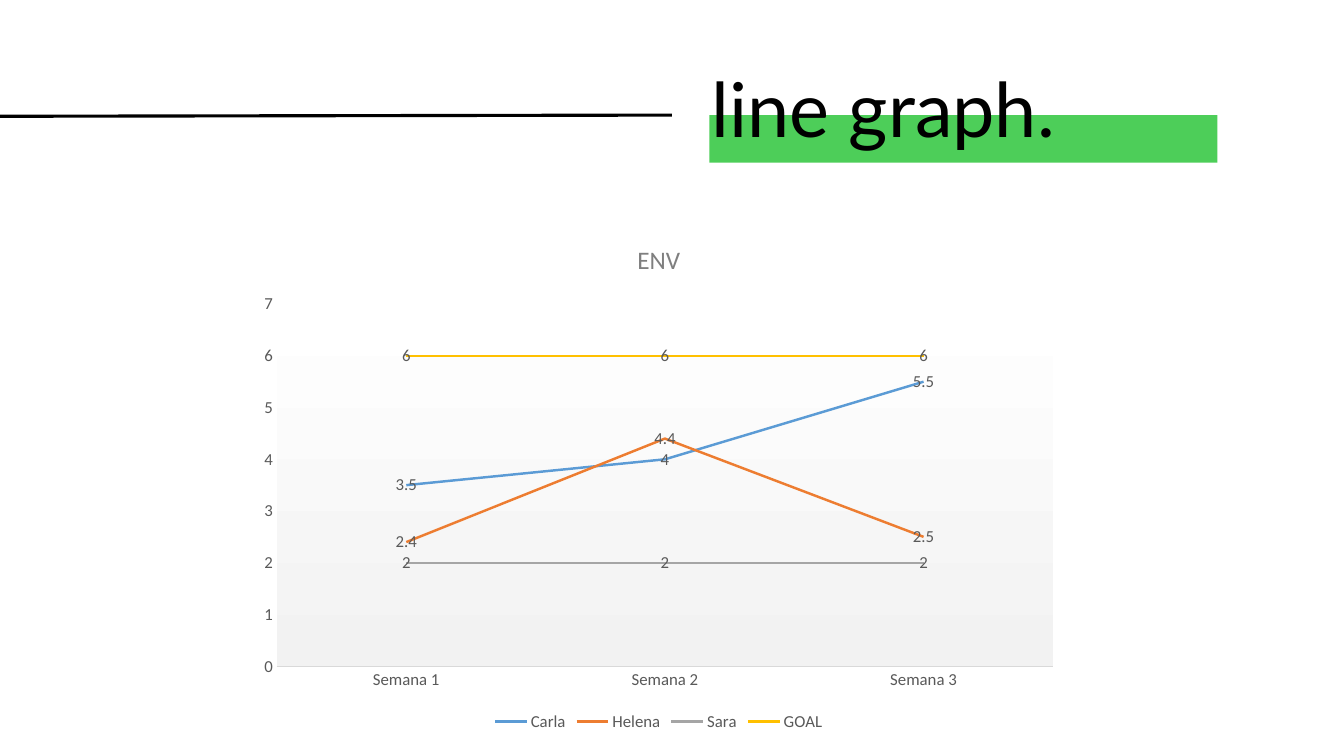
from lxml import etree
from pptx import Presentation
from pptx import util as u
from pptx.chart.data import CategoryChartData
from pptx.dml.color import RGBColor
from pptx.enum import chart as charts, shapes, text
from pptx.oxml import parse_xml
from pptx.oxml.ns import qn

CHART_NS = "http://schemas.openxmlformats.org/drawingml/2006/chart"
DRAWING_NS = "http://schemas.openxmlformats.org/drawingml/2006/main"
CATEGORIES = ["Semana 1", "Semana 2", "Semana 3"]
SERIES = [
    ("Carla", (3.5, 4, 5.5), "5B9BD5"),
    ("Helena", (2.4, 4.4, 2.5), "ED7D31"),
    ("Sara", (2, 2, 2), "A5A5A5"),
    ("GOAL", (6, 6, 6), "FFC000"),
]


def color(value):
    return RGBColor.from_string(value)


def style_font(font, name, size, value):
    font.name = name
    font.size = u.Pt(size)
    font.bold = False
    font.color.rgb = color(value)


def add_band(slide, left, top, width, height, fill):
    band = slide.shapes.add_shape(
        shapes.MSO_SHAPE.RECTANGLE, u.Cm(left), u.Cm(top), u.Cm(width), u.Cm(height))
    band.shadow.inherit = False
    band.fill.solid()
    band.fill.fore_color.rgb = color(fill)
    band.line.fill.background()


def add_rule(slide, x1, y1, x2, y2, value, weight):
    rule = slide.shapes.add_connector(
        shapes.MSO_CONNECTOR.STRAIGHT, u.Cm(x1), u.Cm(y1), u.Cm(x2), u.Cm(y2))
    rule.line.color.rgb = color(value)
    rule.line.width = u.Pt(weight)
    etree.SubElement(rule._element.spPr, qn("a:effectLst"))


def add_heading(slide, left, top, width, height, words):
    box = slide.shapes.add_textbox(u.Cm(left), u.Cm(top), u.Cm(width), u.Cm(height))
    frame = box.text_frame
    frame.word_wrap = True
    frame.vertical_anchor = text.MSO_ANCHOR.MIDDLE
    paragraph = frame.paragraphs[0]
    paragraph.line_spacing = 0.9
    run = paragraph.add_run()
    run.text = words
    style_font(run.font, "Lato", 54, "000000")


def shade_plot(chart, start, end):
    chart._chartSpace.chart.plotArea.append(parse_xml(
        f'<c:spPr xmlns:c="{CHART_NS}" xmlns:a="{DRAWING_NS}"><a:gradFill><a:gsLst>'
        f'<a:gs pos="0"><a:srgbClr val="{start}"/></a:gs>'
        f'<a:gs pos="100000"><a:srgbClr val="{end}"/></a:gs>'
        '</a:gsLst><a:lin ang="5400000" scaled="0"/></a:gradFill></c:spPr>'))


def style_axis(axis):
    axis.has_major_gridlines = False
    axis.major_tick_mark = charts.XL_TICK_MARK.NONE
    axis.minor_tick_mark = charts.XL_TICK_MARK.NONE
    style_font(axis.tick_labels.font, "Calibri", 12, "595959")


def style_series(series, value):
    series.smooth = False
    series.format.line.color.rgb = color(value)
    series.format.line.width = u.Pt(1.75)
    series.marker.style = charts.XL_MARKER_STYLE.NONE
    labels = series.data_labels
    labels.show_value = True
    labels.position = charts.XL_LABEL_POSITION.CENTER
    style_font(labels.font, "Calibri", 12, "595959")


def add_line_chart(slide, left, top, width, height, title):
    data = CategoryChartData()
    data.categories = CATEGORIES
    for name, values, _ in SERIES:
        data.add_series(name, values)
    chart = slide.shapes.add_chart(
        charts.XL_CHART_TYPE.LINE, u.Cm(left), u.Cm(top), u.Cm(width), u.Cm(height),
        data).chart
    style_font(chart.font, "Calibri", 10, "000000")
    chart.plots[0].vary_by_categories = False

    chart.has_title = True
    run = chart.chart_title.text_frame.paragraphs[0].add_run()
    run.text = title
    style_font(run.font, "Calibri", 18, "7F7F7F")
    chart.chart_title.include_in_layout = False

    chart.has_legend = True
    chart.legend.position = charts.XL_LEGEND_POSITION.BOTTOM
    chart.legend.include_in_layout = False
    style_font(chart.legend.font, "Calibri", 12, "595959")

    style_axis(chart.category_axis)
    style_axis(chart.value_axis)
    chart.category_axis.format.line.color.rgb = color("D9D9D9")
    chart.category_axis.format.line.width = u.Pt(0.75)
    chart.value_axis.format.line.fill.background()
    chart.value_axis.minimum_scale = 0
    chart.value_axis.maximum_scale = 7
    chart.value_axis.major_unit = 1

    for series, (_, _, value) in zip(chart.plots[0].series, SERIES):
        style_series(series, value)
    shade_plot(chart, "FFFFFF", "F2F2F2")


def main():
    presentation = Presentation()
    presentation.slide_width = u.Cm(33.87)
    presentation.slide_height = u.Cm(19.05)
    slide = presentation.slides.add_slide(presentation.slide_layouts[6])
    add_band(slide, 17.88, 2.9, 12.8, 1.2, "4DCE59")
    add_rule(slide, 0, 2.93, 16.93, 2.9, "000000", 2.25)
    add_heading(slide, 17.68, 1.02, 13.84, 3.68, "line graph.")
    add_line_chart(slide, 6.25, 5.61, 20.7, 12.93, "ENV")
    presentation.save("out.pptx")


if __name__ == "__main__":
    main()
